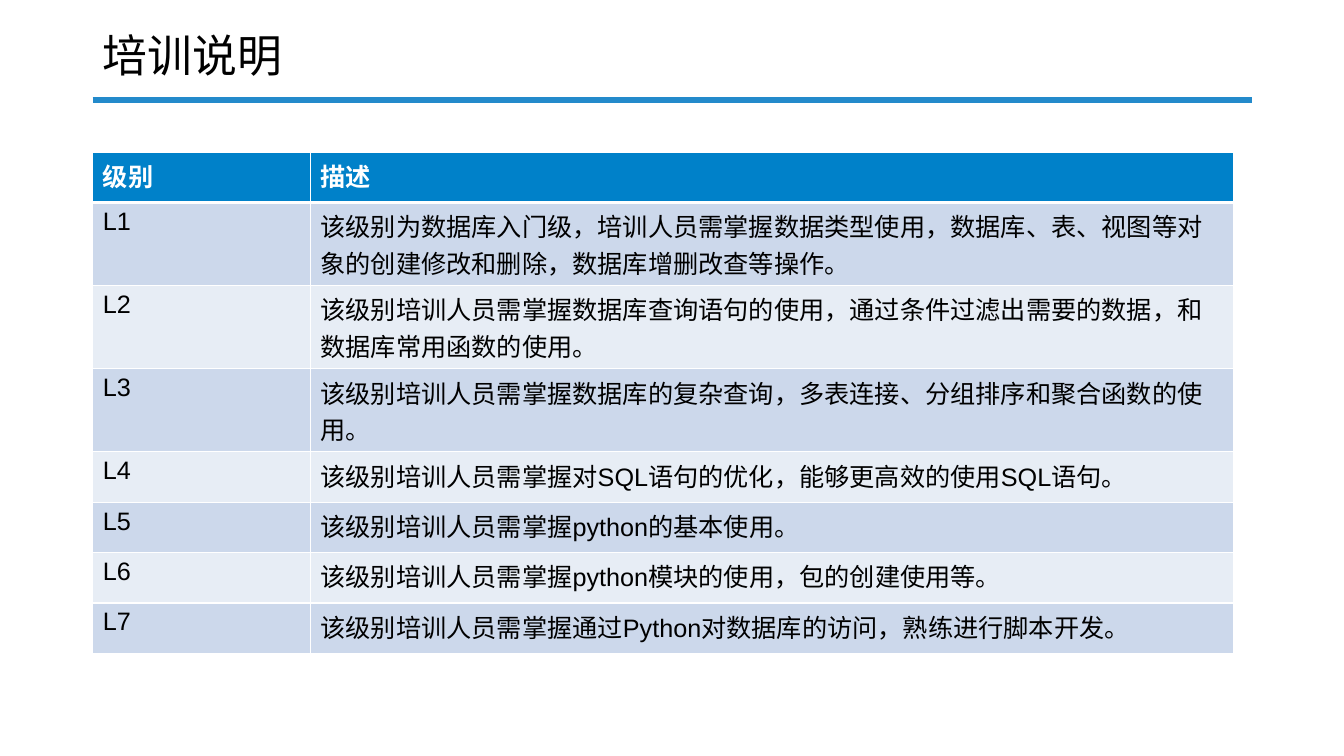
from lxml import etree
from pptx import Presentation
from pptx.dml.color import RGBColor
from pptx.enum.shapes import MSO_CONNECTOR
from pptx.enum.text import MSO_ANCHOR, PP_ALIGN
from pptx.oxml.ns import qn
from pptx.util import Pt

STRAIGHT = MSO_CONNECTOR.STRAIGHT
MIDDLE = MSO_ANCHOR.MIDDLE
LEFT = PP_ALIGN.LEFT

BLACK = RGBColor(0x00, 0x00, 0x00)
WHITE = RGBColor(0xFF, 0xFF, 0xFF)
RULE_BLUE = RGBColor(0x23, 0x8A, 0xCB)
HEADER_BLUE = RGBColor(0x00, 0x81, 0xC9)
BANDS = (RGBColor(0xCC, 0xD8, 0xEB), RGBColor(0xE7, 0xED, 0xF5))

LATIN_FONT = "Arial"
CJK_FONT = "Noto Sans CJK SC"

MARGIN = 66.24
HEADER = ("级别", "描述")
LEVELS = (
    "该级别为数据库入门级，培训人员需掌握数据类型使用，数据库、表、视图等对象的创建修改和删除，数据库增删改查等操作。",
    "该级别培训人员需掌握数据库查询语句的使用，通过条件过滤出需要的数据，和数据库常用函数的使用。",
    "该级别培训人员需掌握数据库的复杂查询，多表连接、分组排序和聚合函数的使用。",
    "该级别培训人员需掌握对SQL语句的优化，能够更高效的使用SQL语句。",
    "该级别培训人员需掌握python的基本使用。",
    "该级别培训人员需掌握python模块的使用，包的创建使用等。",
    "该级别培训人员需掌握通过Python对数据库的访问，熟练进行脚本开发。",
)
TALL_LEVELS = 3


def write(frame, text, size=18, color=BLACK, bold=False, font=LATIN_FONT, spacing=None):
    """Put one formatted paragraph into a text frame."""
    paragraph = frame.paragraphs[0]
    paragraph.alignment = LEFT
    paragraph.line_spacing = spacing
    run = paragraph.add_run()
    run.text = text
    run.font.size = Pt(size)
    run.font.bold = bold
    run.font.color.rgb = color
    run.font.name = font
    etree.SubElement(run.font._element, qn("a:ea"), typeface=CJK_FONT)


class SlideBuilder:
    def __init__(self, slide):
        self.slide = slide

    def title(self, text, left, top, width, height):
        title = self.slide.shapes.title
        title.left, title.top = Pt(left), Pt(top)
        title.width, title.height = Pt(width), Pt(height)
        title.text_frame.vertical_anchor = MIDDLE
        title.text_frame.word_wrap = True
        write(title.text_frame, text, size=32, font=CJK_FONT, spacing=0.9)

    def rule(self, left, right, y, weight, color):
        rule = self.slide.shapes.add_connector(STRAIGHT, Pt(left), Pt(y), Pt(right), Pt(y))
        rule.line.color.rgb = color
        rule.line.width = Pt(weight)
        etree.SubElement(rule._element.spPr, qn("a:effectLst"))

    def table(self, rows, left, top, widths, heights):
        frame = self.slide.shapes.add_table(
            len(rows), len(widths), Pt(left), Pt(top), Pt(sum(widths)), Pt(sum(heights)))
        table = frame.table
        for column, width in zip(table.columns, widths):
            column.width = Pt(width)
        for index, (texts, height) in enumerate(zip(rows, heights)):
            table.rows[index].height = Pt(height)
            for cell, text in zip(table.rows[index].cells, texts):
                self.cell(cell, text, index)

    def cell(self, cell, text, row):
        is_header = row == 0
        # The line between header and body is thicker
        self.border(cell, "L", 1)
        self.border(cell, "R", 1)
        self.border(cell, "T", 3 if row == 1 else 1)
        self.border(cell, "B", 3 if is_header else 1)
        cell.fill.solid()
        cell.fill.fore_color.rgb = HEADER_BLUE if is_header else BANDS[(row - 1) % 2]
        write(cell.text_frame, text, color=WHITE if is_header else BLACK, bold=is_header)

    def border(self, cell, side, weight):
        properties = cell._tc.get_or_add_tcPr()
        line = etree.SubElement(properties, qn(f"a:ln{side}"), w=str(Pt(weight)))
        fill = etree.SubElement(line, qn("a:solidFill"))
        etree.SubElement(fill, qn("a:srgbClr"), val=str(WHITE))


def main():
    deck = Presentation()
    deck.slide_width, deck.slide_height = Pt(960), Pt(540)
    builder = SlideBuilder(deck.slides.add_slide(deck.slide_layouts[5]))

    # Heading
    builder.rule(MARGIN, MARGIN + 828, 71.28, 4.5, RULE_BLUE)
    builder.title("培训说明", MARGIN, 14.4, 828, 54.72)

    # Training levels
    rows = [HEADER] + [(f"L{n}", text) for n, text in enumerate(LEVELS, 1)]
    heights = [36] + [50.4] * TALL_LEVELS + [36] * (len(LEVELS) - TALL_LEVELS)
    builder.table(rows, MARGIN, 108.72, (155.52, 659.52), heights)

    deck.save("out.pptx")


if __name__ == "__main__":
    main()
